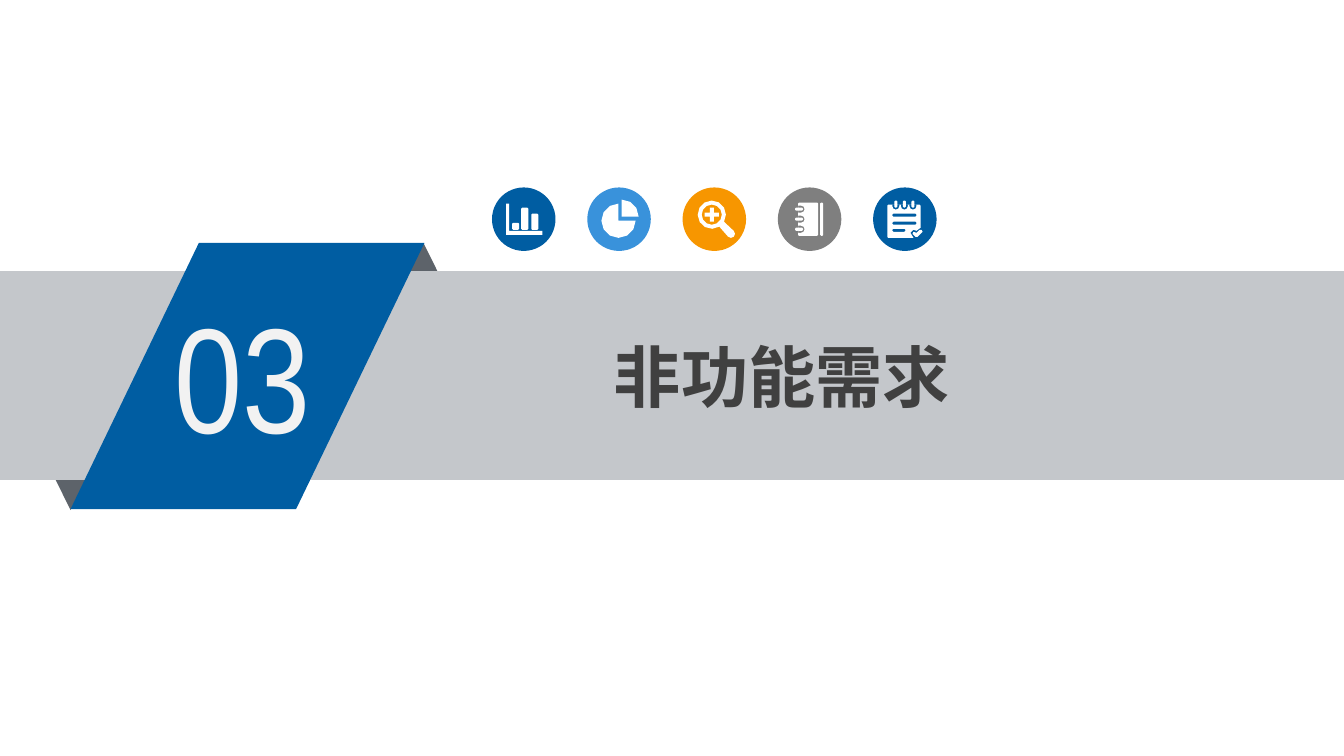
from math import cos, radians, sin

from pptx import Presentation
from pptx.dml.color import RGBColor
from pptx.enum.shapes import MSO_SHAPE
from pptx.enum.text import MSO_ANCHOR
from pptx.oxml.xmlchemy import OxmlElement
from pptx.util import Inches, Pt

COLORS = {
    "blue": "005DA2",
    "sky": "3992DB",
    "orange": "F79600",
    "gray": "7F7F7F",
    "band": "C4C7CB",
    "fold": "5D636A",
    "white": "FFFFFF",
    "number": "F2F2F2",
    "title": "404040",
}


def paint(shape, color):
    shape.fill.solid()
    shape.fill.fore_color.rgb = RGBColor.from_string(COLORS[color])
    shape.line.fill.background()
    shape.shadow.inherit = False


def add_preset(shapes, kind, box, color):
    shape = shapes.add_shape(kind, *map(Inches, box))
    paint(shape, color)
    return shape


def add_text(shapes, text, box, *, font, size, color, bold=False,
             anchor=MSO_ANCHOR.TOP):
    frame = shapes.add_textbox(*map(Inches, box)).text_frame
    frame.word_wrap = True
    frame.vertical_anchor = anchor
    run = frame.paragraphs[0].add_run()
    run.text = text
    run.font.name = font
    run.font.size = Pt(size)
    run.font.bold = bold
    run.font.color.rgb = RGBColor.from_string(COLORS[color])
    east_asian = OxmlElement("a:ea")
    east_asian.set("typeface", font)
    run.font._element.append(east_asian)


# Outlines: lists of points in inches; nested outlines cut holes
def arc(center, radius, start, end, step=30):
    steps = max(1, round(abs(end - start) / step))
    angles = [radians(start + (end - start) * i / steps) for i in range(steps + 1)]
    return [(center[0] + radius * cos(a), center[1] + radius * sin(a)) for a in angles]


def bar(x, y, width, height, cut=0.01):
    right, bottom = x + width, y + height
    return [(x + cut, y), (right - cut, y), (right, y + cut), (right, bottom - cut),
            (right - cut, bottom), (x + cut, bottom), (x, bottom - cut), (x, y + cut)]


def bar_chart():
    axes = [(0.14, 0.16), (0.17, 0.16), (0.17, 0.43), (0.5, 0.43), (0.5, 0.47), (0.14, 0.47)]
    columns = [(0.2, 0.07), (0.29, 0.22), (0.39, 0.16)]
    return [axes] + [bar(x, 0.42 - height, 0.07, height) for x, height in columns]


def pie_chart():
    slice_tip, pie_center = (0.34, 0.29), (0.31, 0.33)
    return [[slice_tip] + arc(slice_tip, 0.17, -90, 0),
            [pie_center] + arc(pie_center, 0.17, 0, 270)]


def magnifier():
    x, y = lens = (0.29, 0.27)
    arm, half = 0.07, 0.02
    body = arc(lens, 0.14, 58, 390) + arc((0.48, 0.46), 0.04, -45, 135, 45)
    quarter = [(half, -arm), (half, -half), (arm, -half)]
    plus = []
    for _ in range(4):
        plus += [(x + dx, y + dy) for dx, dy in quarter]
        quarter = [(-dy, dx) for dx, dy in quarter]
    return [body, arc(lens, 0.1, 0, 330), plus]


def notebook():
    outlines = [bar(0.2, 0.15, 0.2, 0.33), bar(0.42, 0.15, 0.03, 0.33)]
    for y in (0.18, 0.28, 0.38):
        notch = arc((0.23, y + 0.035), 0.035, -90, 90, 45)
        outlines += [[(0.2, y)] + notch + [(0.2, y + 0.07)],
                     bar(0.17, y + 0.02, 0.08, 0.03)]
    return outlines


def checklist():
    page = [(0.14, 0.18), (0.15, 0.17), (0.46, 0.17), (0.47, 0.18), (0.47, 0.4),
            (0.43, 0.43), (0.4, 0.42), (0.37, 0.45), (0.4, 0.5), (0.15, 0.5), (0.14, 0.49)]
    check = [(0.49, 0.44), (0.44, 0.49), (0.42, 0.49), (0.39, 0.46), (0.4, 0.44),
             (0.43, 0.45), (0.46, 0.42), (0.48, 0.42)]
    outlines = [page, check]
    for x in (0.19, 0.275, 0.36):
        notch = arc((x + 0.035, 0.185), 0.035, 180, 0, 45)
        outlines += [[(x, 0.17)] + notch + [(x + 0.07, 0.17)],
                     bar(x + 0.02, 0.13, 0.03, 0.07)]
    rules = [(0.26, 0.24), (0.34, 0.24), (0.41, 0.13)]
    return outlines + [bar(0.19, y, width, 0.03) for y, width in rules]


ICONS = [("blue", bar_chart), ("sky", pie_chart), ("orange", magnifier),
         ("gray", notebook), ("blue", checklist)]


def add_icon(shapes, left, top, size, color, symbol):
    add_preset(shapes, MSO_SHAPE.OVAL, (left, top, size, size), color)
    builder = None
    for outline in symbol():
        start, *rest = [(Inches(left + x), Inches(top + y)) for x, y in outline]
        if builder is None:
            builder = shapes.build_freeform(*start)
        else:
            builder.move_to(*start)
        builder.add_line_segments(rest, close=True)
    paint(builder.convert_to_shape(), "white")


def add_icon_row(slide, left, top, size=0.63, pitch=0.945):
    for i, (color, symbol) in enumerate(ICONS):
        icon = slide.shapes.add_group_shape()
        add_icon(icon.shapes, left + i * pitch, top, size, color, symbol)


def add_section_band(slide, left, top, width, height, number, title):
    banner = slide.shapes.add_group_shape().shapes

    # Folded ends behind the band
    fold = (1.2, 1.21)
    add_preset(banner, MSO_SHAPE.ISOSCELES_TRIANGLE, (left + 3.6, top - 0.28, *fold), "fold")
    lower_fold = add_preset(banner, MSO_SHAPE.ISOSCELES_TRIANGLE,
                            (left + 0.1, top + 1.16, *fold), "fold")
    lower_fold.rotation = 180

    # Band and slanted ribbon
    add_preset(banner, MSO_SHAPE.RECTANGLE, (left, top, width, height), "band")
    ribbon = add_preset(banner, MSO_SHAPE.PARALLELOGRAM,
                        (left + 0.7, top - 0.28, 3.51, 2.64), "blue")
    ribbon.adjustments[0] = 0.482

    # Section number and title
    add_text(banner, number, (left + 1.63, top + 0.08, 1.93, 1.9),
             font="Arial Narrow", size=106.7, color="number")
    add_text(slide.shapes, title, (left + 5.99, top + 0.58, 7.36, 0.91),
             font="Noto Sans CJK SC", size=48, color="title", bold=True,
             anchor=MSO_ANCHOR.MIDDLE)


def main():
    prs = Presentation()
    prs.slide_width, prs.slide_height = Inches(13.33), Inches(7.5)
    slide = prs.slides.add_slide(prs.slide_layouts[6])
    add_section_band(slide, 0, 2.69, 13.33, 2.07, "03", "非功能需求")
    add_icon_row(slide, 4.88, 1.86)
    prs.save("out.pptx")


if __name__ == "__main__":
    main()
